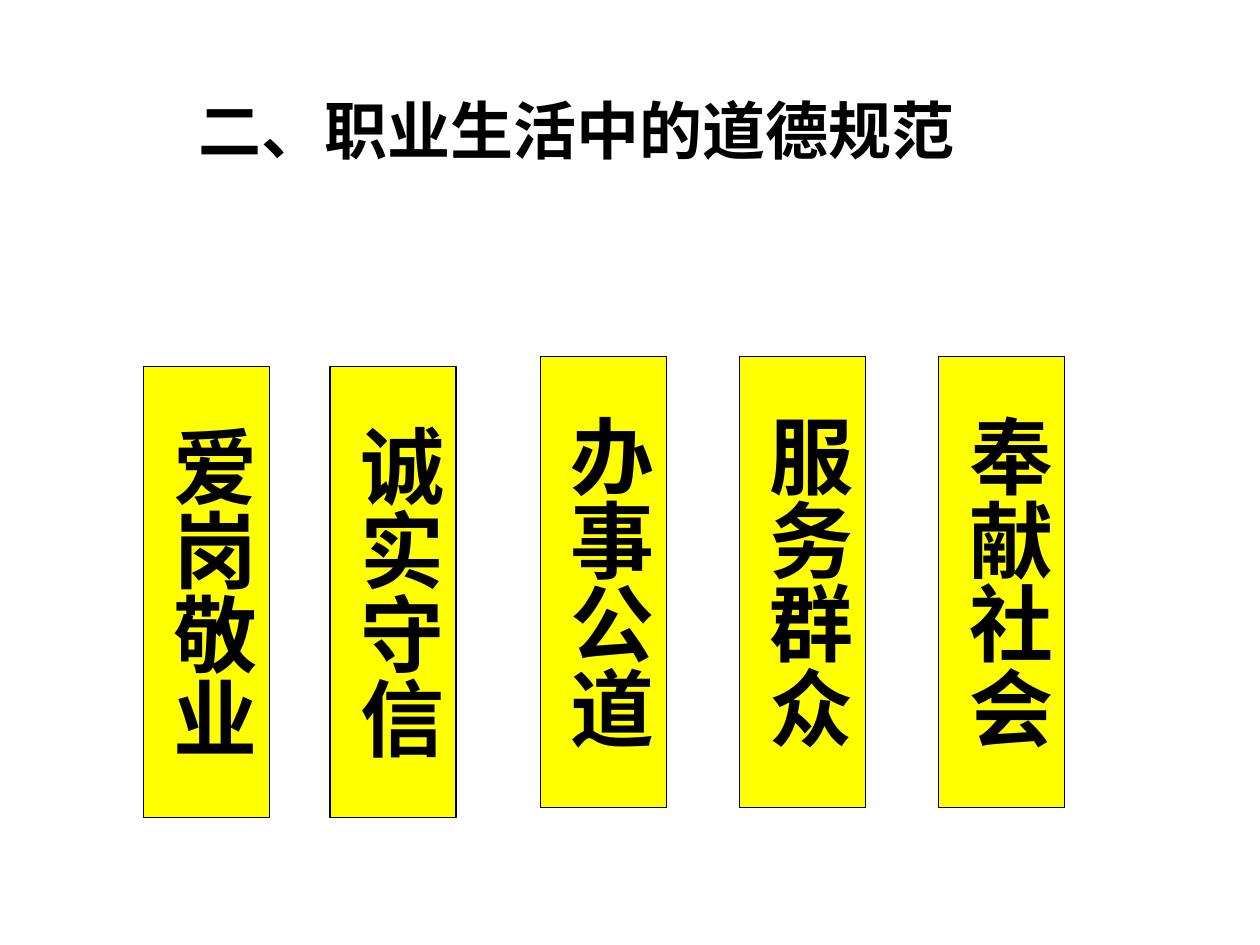
from pptx import Presentation
from pptx.dml.color import RGBColor
from pptx.enum import shapes, text
from pptx.util import Inches, Pt

TITLE = "二、职业生活中的道德规范"
NORMS = [  # wording, left, top
    ("爱岗敬业", 1.14, 2.91),
    ("诚实守信", 2.62, 2.91),
    ("办事公道", 4.29, 2.83),
    ("服务群众", 5.87, 2.83),
    ("奉献社会", 7.45, 2.83),
]
WIDE, HIGH = 1, 3.58
SIZE = 48
BLACK, YELLOW = "000000", "FFFF00"


def color(code):
    return RGBColor.from_string(code)


def write(shape, words, font, size):
    frame = shape.text_frame
    frame.word_wrap = True
    frame.auto_size = text.MSO_AUTO_SIZE.SHAPE_TO_FIT_TEXT
    frame.vertical_anchor = text.MSO_ANCHOR.TOP
    para = frame.paragraphs[0]
    para.alignment = text.PP_ALIGN.LEFT
    run = para.add_run()
    run.text = words
    look = {"name": font, "size": Pt(size), "bold": True}
    for key, value in look.items():
        setattr(run.font, key, value)
    run.font.color.rgb = color(BLACK)
    return frame


def add_bar(slide, words, left, top):
    bar = slide.shapes.add_shape(
        shapes.MSO_SHAPE.RECTANGLE, *map(Inches, (left, top, WIDE, HIGH)))
    bar.shadow.inherit = False
    bar.fill.solid()
    bar.fill.fore_color.rgb = color(YELLOW)
    bar.line.color.rgb = color(BLACK)
    bar.line.width = Pt(0.75)
    frame = write(bar, words, "Cabin", SIZE)
    # The top margin centres the column of characters in the bar
    gap = (HIGH - len(words) * SIZE / 72) / 2
    pads = {"left": 0.05, "top": gap, "right": 0.05, "bottom": 0.1}
    for side, pad in pads.items():
        setattr(frame, "margin_" + side, Inches(pad))
    # Characters run downwards, as in East Asian vertical writing
    frame._txBody.bodyPr.set("vert", "eaVert")


def main():
    deck = Presentation()
    deck.slide_width, deck.slide_height = Inches(10), Inches(7.5)
    slide = deck.slides.add_slide(deck.slide_layouts[6])
    for norm in NORMS:
        add_bar(slide, *norm)
    title = slide.shapes.add_textbox(*map(Inches, (1.48, 0.68, 6.72, 0.7)))
    write(title, TITLE, "Noto Sans CJK SC", 36)
    deck.save("out.pptx")


if __name__ == "__main__":
    main()
